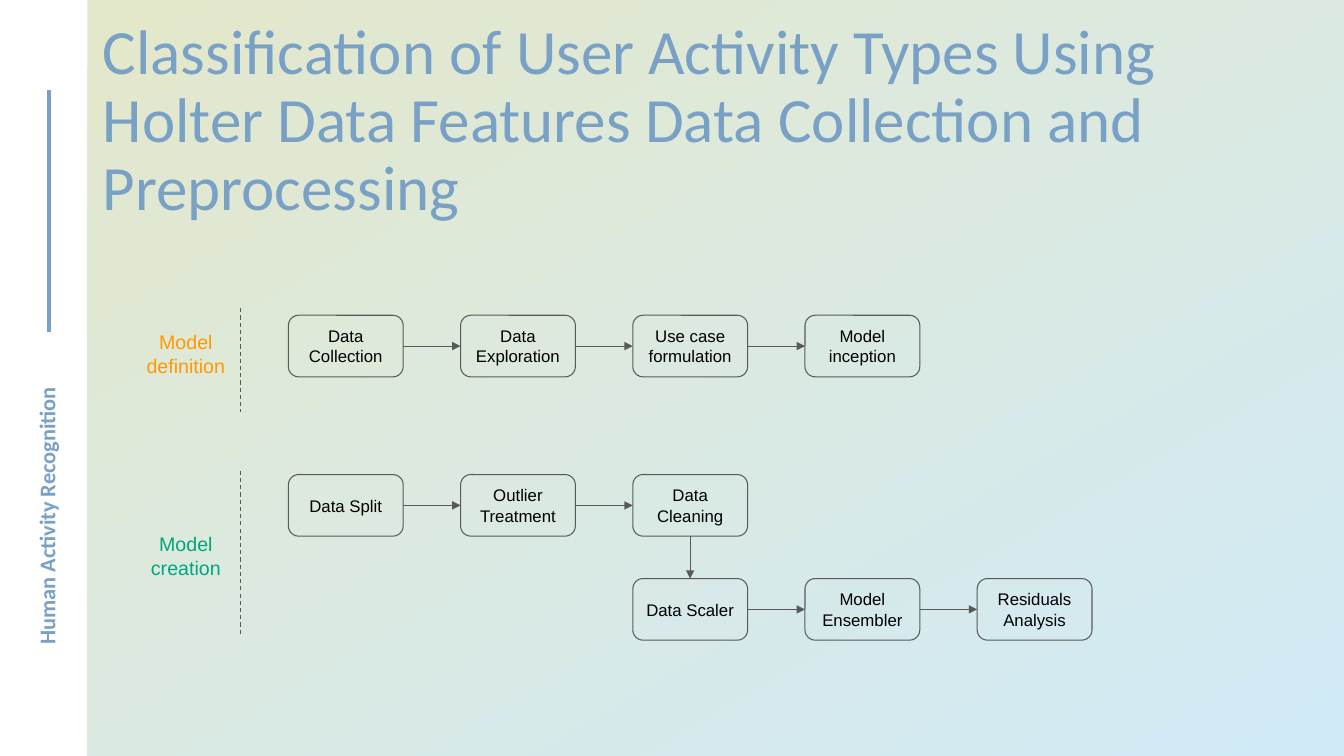
from lxml import etree
from pptx import Presentation
from pptx.dml.color import RGBColor
from pptx.enum.dml import MSO_LINE
from pptx.enum.shapes import MSO_CONNECTOR, MSO_SHAPE
from pptx.enum.text import MSO_ANCHOR, PP_ALIGN
from pptx.oxml.ns import qn
from pptx.util import Pt

STRAIGHT = MSO_CONNECTOR.STRAIGHT
RECTANGLE, ROUNDED = MSO_SHAPE.RECTANGLE, MSO_SHAPE.ROUNDED_RECTANGLE
LEFT, CENTER = PP_ALIGN.LEFT, PP_ALIGN.CENTER
TOP, MIDDLE = MSO_ANCHOR.TOP, MSO_ANCHOR.MIDDLE
DASH = MSO_LINE.DASH
TOP_SIDE, LEFT_SIDE, BOTTOM_SIDE, RIGHT_SIDE = range(4)

COLORS = {"blue": "79A1C5", "gray": "595959", "black": "000000",
          "orange": "FF9900", "green": "00A67D",
          "yellow tint": "E4E8CB", "blue tint": "D1EAF7"}
SLIDE_WIDTH, SLIDE_HEIGHT = 960, 540
SIDEBAR_WIDTH = 62.5
STEP_WIDTH, STEP_HEIGHT, STEP_PITCH = 82, 44, 123


def color(name):
    return RGBColor.from_string(COLORS[name])


def write(shape, text, size, color_name, font="Arial", bold=False, align=CENTER,
          anchor=MIDDLE, margins=(7.2, 7.2), spacing=None):
    frame = shape.text_frame
    frame.word_wrap = True
    frame.vertical_anchor = anchor
    frame.margin_left = frame.margin_right = Pt(margins[0])
    frame.margin_top = frame.margin_bottom = Pt(margins[1])
    frame.text = text
    for paragraph in frame.paragraphs:
        paragraph.alignment = align
        paragraph.line_spacing = spacing
        paragraph.font.name = font
        paragraph.font.size = Pt(size)
        paragraph.font.bold = bold
        paragraph.font.color.rgb = color(color_name)


def add_line(slide, start=(0, 0), end=(0, 0), color_name="gray", width=0.75, dash=None):
    line = slide.shapes.add_connector(STRAIGHT, *map(Pt, (*start, *end)))
    line.line.color.rgb = color(color_name)
    line.line.width = Pt(width)
    if dash:
        line.line.dash_style = dash
    etree.SubElement(line._element.spPr, qn("a:effectLst"))
    return line


def add_arrow(slide, source, source_side, target, target_side):
    arrow = add_line(slide)
    arrow.begin_connect(source, source_side)
    arrow.end_connect(target, target_side)
    outline = arrow._element.spPr.find(qn("a:ln"))
    etree.SubElement(outline, qn("a:tailEnd"), type="triangle")


def add_background(slide, left, top, width, height):
    panel = slide.shapes.add_shape(RECTANGLE, *map(Pt, (left, top, width, height)))
    panel.shadow.inherit = False
    panel.line.fill.background()
    panel.fill.gradient()
    panel.fill.gradient_angle = 300
    for stop, name in zip(panel.fill.gradient_stops, ("yellow tint", "blue tint")):
        stop.color.rgb = color(name)
    # Behind the title placeholder
    slide.shapes._spTree.insert(2, panel._element)


def add_title(slide, left, top, width, height):
    title = slide.shapes.title
    title.left, title.top, title.width, title.height = map(Pt, (left, top, width, height))
    write(title, "Classification of User Activity Types Using Holter Data Features "
          "Data Collection and Preprocessing", 45, "blue", font="Calibri",
          align=LEFT, margins=(7.2, 3.6), spacing=0.9)


def add_sidebar(slide, left, top, width, height):
    """Vertical rule above a section name that reads upwards."""
    center = left + width / 2
    add_line(slide, (center + 3.5, top + 237), (center + 3.5, top + 64), "blue", 3)
    length, thickness = 216, 22
    middle = top + height - 186
    label = slide.shapes.add_textbox(Pt(center + 2 - length / 2), Pt(middle - thickness / 2),
                                     Pt(length), Pt(thickness))
    label.rotation = 270
    write(label, "Human Activity Recognition", 16, "blue", font="Calibri", bold=True,
          align=LEFT, margins=(1.44, 1.44))


def add_step(slide, text, left, top):
    step = slide.shapes.add_shape(ROUNDED, Pt(left), Pt(top), Pt(STEP_WIDTH), Pt(STEP_HEIGHT))
    step.shadow.inherit = False
    step.fill.background()
    step.line.color.rgb = color("gray")
    step.line.width = Pt(0.75)
    write(step, text, 12, "black")
    return step


def add_step_row(slide, texts, left, top):
    """Steps joined from left to right by arrows."""
    steps = [add_step(slide, text, left + index * STEP_PITCH, top)
             for index, text in enumerate(texts)]
    for source, target in zip(steps, steps[1:]):
        add_arrow(slide, source, RIGHT_SIDE, target, LEFT_SIDE)
    return steps


def add_phase_label(slide, text, color_name, left, top, height, label_offset):
    """Phase name with a dashed divider on its right."""
    width = 77
    label = slide.shapes.add_textbox(Pt(left), Pt(top + label_offset), Pt(width), Pt(45))
    write(label, text, 14, color_name, anchor=TOP)
    divider = left + width + 0.8
    add_line(slide, (divider, top), (divider, top + height), dash=DASH)


def add_definition_phase(slide, left, top):
    add_phase_label(slide, "Model definition", "orange", left, top, 74, 8.6)
    add_step_row(slide, ["Data Collection", "Data Exploration", "Use case formulation",
                         "Model inception"], left + 111.7, top + 5)


def add_creation_phase(slide, left, top):
    add_phase_label(slide, "Model\ncreation", "green", left, top, 117, 36.7)
    first_left = left + 111.7
    upper = add_step_row(slide, ["Data Split", "Outlier Treatment", "Data Cleaning"],
                         first_left, top + 2.7)
    lower = add_step_row(slide, ["Data Scaler", "Model Ensembler", "Residuals Analysis"],
                         first_left + 2 * STEP_PITCH, top + 77)
    add_arrow(slide, upper[-1], BOTTOM_SIDE, lower[0], TOP_SIDE)


def main():
    presentation = Presentation()
    presentation.slide_width, presentation.slide_height = Pt(SLIDE_WIDTH), Pt(SLIDE_HEIGHT)
    slide = presentation.slides.add_slide(presentation.slide_layouts[5])
    add_background(slide, SIDEBAR_WIDTH, 0, SLIDE_WIDTH - SIDEBAR_WIDTH, SLIDE_HEIGHT)
    add_title(slide, 66.2, 31, 867.6, 112.3)
    add_sidebar(slide, 0, 0, SIDEBAR_WIDTH, SLIDE_HEIGHT)
    add_definition_phase(slide, 94.3, 220.2)
    add_creation_phase(slide, 94.3, 336.3)
    presentation.save("out.pptx")


if __name__ == "__main__":
    main()
